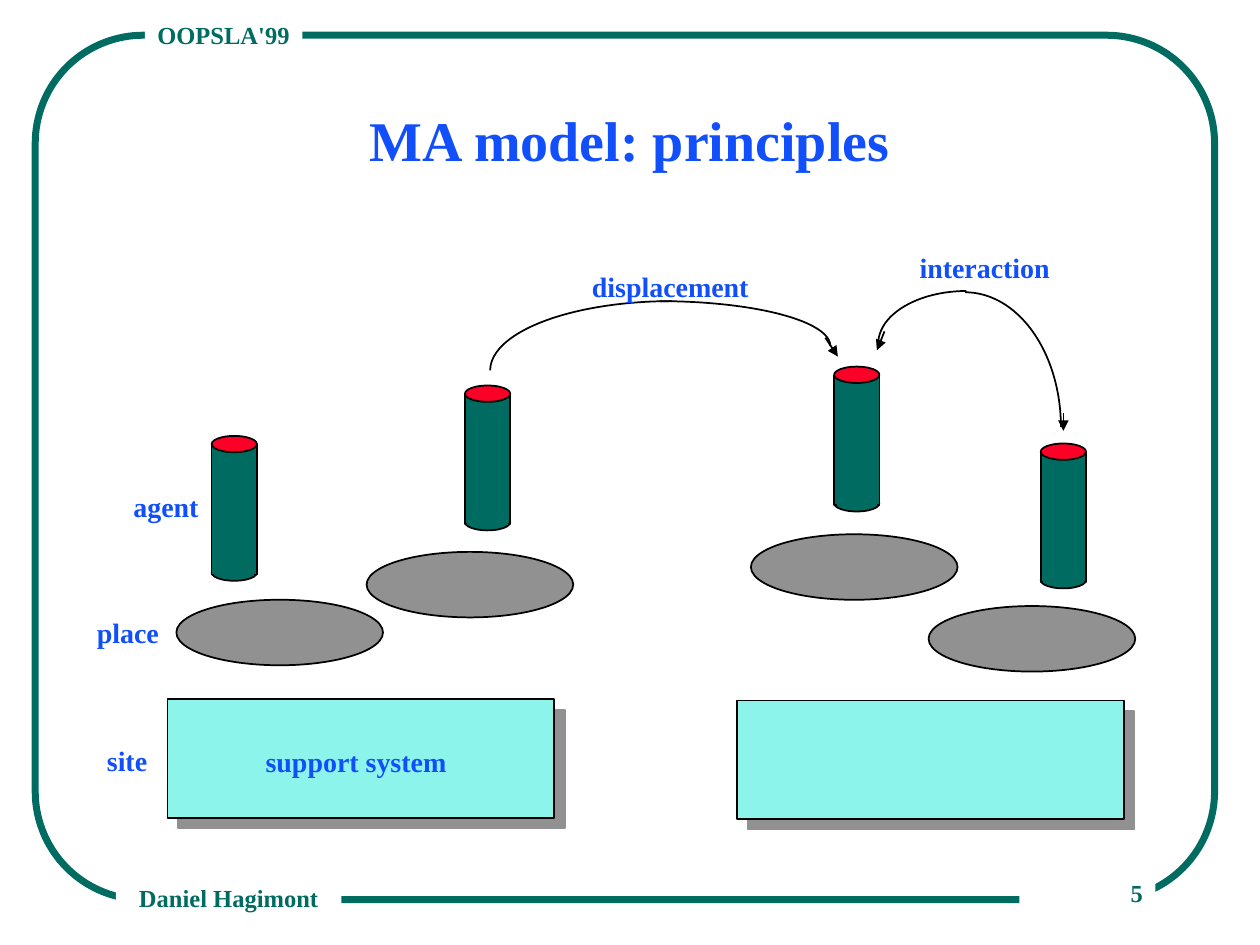
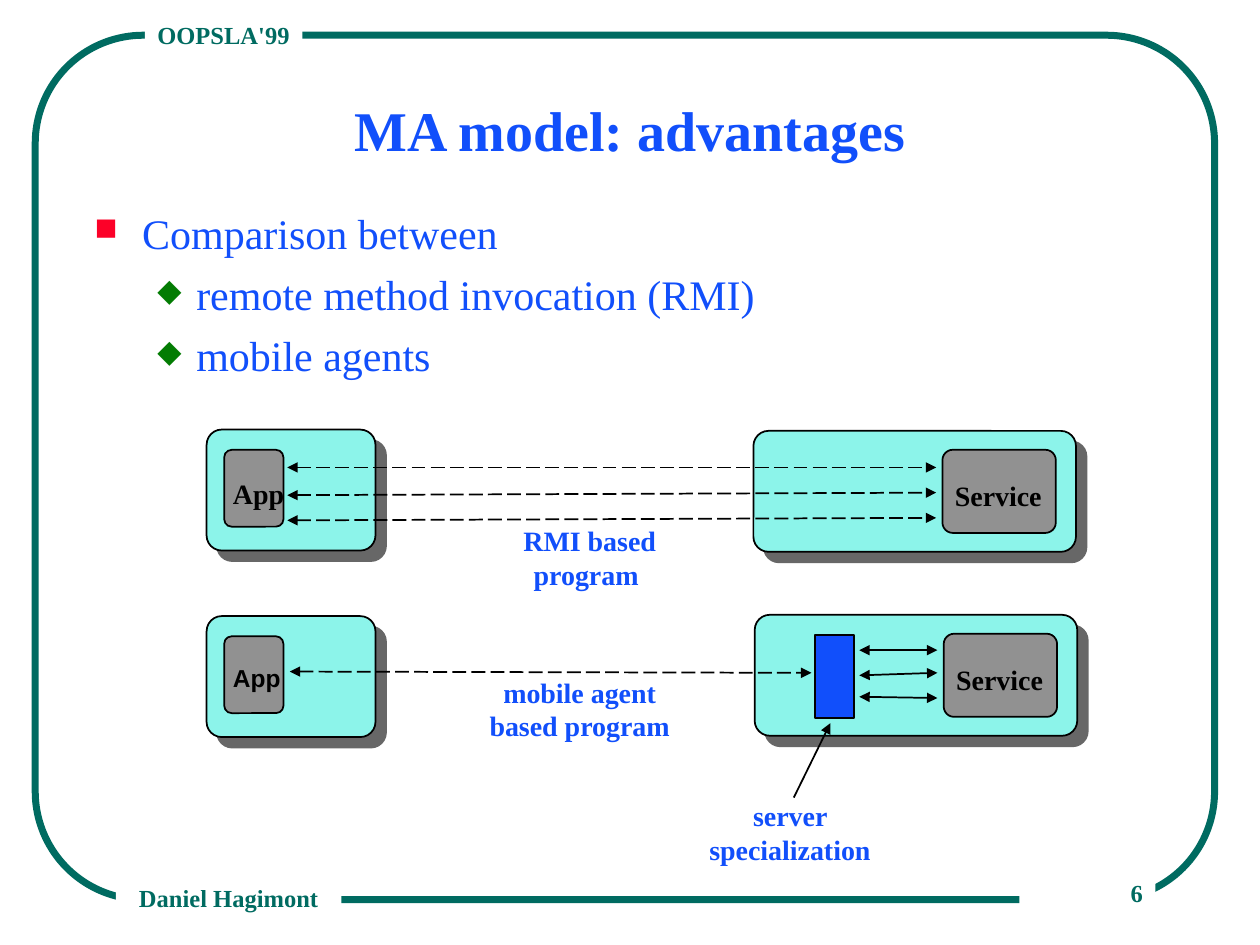
import lxml.etree
import pptx
import pptx.dml.color
import pptx.enum.dml
import pptx.enum.shapes
import pptx.enum.text
import pptx.oxml.ns
import pptx.util

SHAPE = pptx.enum.shapes.MSO_SHAPE
ALIGN = pptx.enum.text.PP_ALIGN
ANCHOR = pptx.enum.text.MSO_ANCHOR
GREEN, BLUE, AQUA, GRAY = "006B61", "114FFB", "8CF4EA", "919191"
RED, LEAF, DARK, BLACK, WHITE = "FC0128", "037C03", "676767", "000000", "FFFFFF"
SERIF, SANS = "Times New Roman", "Arial"


def rgb(value):
    return pptx.dml.color.RGBColor.from_string(value)


def inches(*lengths):
    return [pptx.util.Inches(length) for length in lengths]


def add_xml(parent, tag, **attributes):
    element = lxml.etree.SubElement(parent, pptx.oxml.ns.qn(tag))
    for name, value in attributes.items():
        element.set(name, str(value))
    return element


class Slides:
    def __init__(self):
        self.deck = pptx.Presentation()
        self.deck.slide_width, self.deck.slide_height = inches(10, 7.5)
        self.canvas = None

    def start(self, number, title, title_top):
        page = self.deck.slides.add_slide(self.deck.slide_layouts[6])
        self.canvas = page.shapes
        self.shape(SHAPE.ROUNDED_RECTANGLE, 0.28, 0.28, 9.36, 6.86, None, GREEN, 4)
        self.band(1.15, 0.11, 1.25, 0.33, "OOPSLA'99", ALIGN.LEFT)
        self.band(8.09, 6.92, 1.08, 0.33, number, ALIGN.RIGHT, ANCHOR.MIDDLE)
        self.band(0.92, 6.96, 1.79, 0.26, "Daniel Hagimont", ALIGN.CENTER)
        self.label(0.75, title_top, 8.5, 0.76, title, size=32, align=ALIGN.CENTER,
                   anchor=ANCHOR.BOTTOM, wrap=True)

    def shape(self, kind, left, top, width, height, fill, line=BLACK, weight=1, shadow=None):
        box = self.canvas.add_shape(kind, *inches(left, top, width, height))
        box.shadow.inherit = False
        if kind == SHAPE.ROUNDED_RECTANGLE:
            box.adjustments[0] = 0.125
        if fill:
            box.fill.solid()
            box.fill.fore_color.rgb = rgb(fill)
        else:
            box.fill.background()
        if line:
            box.line.color.rgb = rgb(line)
            box.line.width = pptx.util.Pt(weight)
        else:
            box.line.fill.background()
        if shadow:
            effects = box.element.spPr.find(pptx.oxml.ns.qn("a:effectLst"))
            outer = add_xml(effects, "a:outerShdw", dist=pptx.util.Pt(8.5), dir=45 * 60000,
                            algn="ctr", rotWithShape=0)
            add_xml(outer, "a:srgbClr", val=shadow)
        return box

    def set_text(self, box, text, size, color, bold=True, font=SERIF, align=ALIGN.LEFT,
                 anchor=ANCHOR.TOP, wrap=True):
        frame = box.text_frame
        frame.text = text
        frame.word_wrap = wrap
        frame.vertical_anchor = anchor
        for para in frame.paragraphs:
            para.alignment = align
            for span in para.runs:
                span.font.name = font
                span.font.size = pptx.util.Pt(size)
                span.font.bold = bold
                span.font.color.rgb = rgb(color)

    def band(self, left, top, width, height, text, align, anchor=ANCHOR.TOP):
        box = self.shape(SHAPE.RECTANGLE, left, top, width, height, WHITE, None)
        self.set_text(box, text, 14, GREEN, align=align, anchor=anchor)

    def label(self, left, top, width, height, text, size=16, color=BLUE, wrap=False, **style):
        box = self.canvas.add_textbox(*inches(left, top, width, height))
        self.set_text(box, text, size, color, wrap=wrap, **style)
        return box

    def caption(self, left, top, text):
        self.label(left, top, 1.72, 0.63, text, align=ALIGN.CENTER, wrap=True)

    def bullets(self, left, top, width, height, items):
        box = self.label(left, top, width, height, "\n".join(text for _, text in items),
                         size=24, bold=False, wrap=True)
        styles = [("■", RED, 0.38, 0.38), ("◆", LEAF, 0.81, 0.31)]
        for index, (para, (level, _)) in enumerate(zip(box.text_frame.paragraphs, items)):
            symbol, color, margin, hanging = styles[level]
            para.level = level
            if index:
                para.space_before = pptx.util.Pt(6.1)
            properties = para._p.get_or_add_pPr()
            properties.set("marL", str(pptx.util.Inches(margin)))
            properties.set("indent", str(-pptx.util.Inches(hanging)))
            add_xml(add_xml(properties, "a:buClr"), "a:srgbClr", val=color)
            add_xml(properties, "a:buSzPct", val=75000)
            add_xml(properties, "a:buChar", char=symbol)

    def line(self, x1, y1, x2, y2, color=BLACK, dashed=False, ends=()):
        link = self.canvas.add_connector(pptx.enum.shapes.MSO_CONNECTOR.STRAIGHT,
                                         *inches(x1, y1, x2, y2))
        link.line.color.rgb = rgb(color)
        link.line.width = pptx.util.Pt(1)
        if dashed:
            link.line.dash_style = pptx.enum.dml.MSO_LINE.LONG_DASH
        properties = link.element.spPr
        for end in ends:
            add_xml(properties.find(pptx.oxml.ns.qn("a:ln")), f"a:{end}End", type="triangle")
        add_xml(properties, "a:effectLst")

    def double_arrow(self, x1, y1, x2, y2, dashed=False):
        self.line(x1, y1, x2, y2, dashed=dashed, ends=("head", "tail"))

    def arc(self, left, top, width, height, start, end):
        curve = self.shape(SHAPE.ARC, left, top, width, height, None)
        curve.adjustments[0] = start * 0.6
        curve.adjustments[1] = end * 0.6

    def agent(self, left, top):
        page_shapes = self.canvas
        self.canvas = page_shapes.add_group_shape().shapes
        self.shape(SHAPE.OVAL, left, top + 0.95, 0.36, 0.13, GREEN)
        self.shape(SHAPE.RECTANGLE, left, top, 0.36, 1.03, GREEN)
        self.shape(SHAPE.OVAL, left, top - 0.07, 0.36, 0.13, RED)
        self.line(left + 0.02, top + 1.03, left + 0.34, top + 1.03, GREEN)
        self.canvas = page_shapes

    def host(self, left, top, width):
        self.shape(SHAPE.ROUNDED_RECTANGLE, left, top, width, 0.96, AQUA, shadow=DARK)

    def app(self, left, top, size, font):
        self.host(left, top, 1.34)
        self.shape(SHAPE.ROUNDED_RECTANGLE, left + 0.14, top + 0.16, 0.47, 0.61, GRAY)
        self.label(left + 0.11, top + 0.32, 0.61, 0.36, "App", size, BLACK, font=font)

    def service(self, left, top):
        self.host(left, top, 2.56)
        self.shape(SHAPE.ROUNDED_RECTANGLE, left + 1.5, top + 0.15, 0.9, 0.66, GRAY)
        self.label(left + 1.5, top + 0.33, 0.89, 0.36, "Service", color=BLACK)


def build_principles(slides):
    slides.start("5", "MA model: principles", 0.66)
    for left, top in [(1.33, 5.55), (5.85, 5.56)]:
        slides.shape(SHAPE.RECTANGLE, left, top, 3.07, 0.94, AQUA, shadow=GRAY)
    for left, top in [(1.4, 4.76), (2.91, 4.38), (5.96, 4.24), (7.37, 4.81)]:
        slides.shape(SHAPE.OVAL, left, top, 1.64, 0.52, GRAY)
    for left, top in [(1.68, 3.53), (3.69, 3.13), (6.62, 2.98), (8.26, 3.59)]:
        slides.agent(left, top)
    slides.arc(3.89, 2.39, 2.7, 0.71, 270, 0)
    slides.arc(3.89, 2.39, 2.88, 1.1, 180, 270)
    slides.arc(6.9, 2.32, 1.52, 2.14, 270, 0)
    slides.arc(6.97, 2.31, 1.4, 0.84, 180, 270)
    for tip in [(6.55, 2.68, 6.65, 2.83), (7.02, 2.63, 6.96, 2.78), (8.44, 3.28, 8.44, 3.42)]:
        slides.line(*tip, ends=("tail",))
    for left, top, width, text in [
        (0.96, 3.84, 0.72, "agent"),
        (0.67, 4.84, 0.69, "place"),
        (0.75, 5.85, 0.52, "site"),
    ]:
        slides.label(left, top, width, 0.36, text)
    for left, top, width, text in [
        (4.6, 2.09, 1.57, "displacement"),
        (7.2, 1.94, 1.57, "interaction"),
        (2.01, 5.86, 2, "support system"),
    ]:
        slides.label(left, top, width, 0.36, text, wrap=True)


def build_advantages(slides):
    slides.start("6", "MA model: advantages", 0.58)
    slides.bullets(0.65, 1.6, 8.5, 1.62, [
        (0, "Comparison between"),
        (1, "remote method invocation (RMI)"),
        (1, "mobile agents"),
    ])
    slides.app(1.64, 3.41, 16, SERIF)
    slides.app(1.64, 4.89, 14, SANS)
    slides.service(5.98, 3.42)
    slides.service(5.99, 4.88)
    slides.shape(SHAPE.RECTANGLE, 6.47, 5.04, 0.31, 0.66, BLUE)
    for y1, y2 in [(3.71, 3.71), (3.93, 3.91), (4.13, 4.11)]:
        slides.double_arrow(2.28, y1, 7.43, y2, dashed=True)
    for y1, y2 in [(5.16, 5.16), (5.36, 5.34), (5.53, 5.54)]:
        slides.double_arrow(6.82, y1, 7.44, y2)
    slides.double_arrow(2.3, 5.33, 6.44, 5.34, dashed=True)
    slides.line(6.59, 5.74, 6.3, 6.33, ends=("head",))
    slides.caption(3.82, 4.11, "RMI based program ")
    slides.caption(3.74, 5.31, "mobile agent based program")
    slides.caption(5.41, 6.29, "server specialization")


def main():
    slides = Slides()
    build_principles(slides)
    build_advantages(slides)
    slides.deck.save("out.pptx")


if __name__ == "__main__":
    main()
